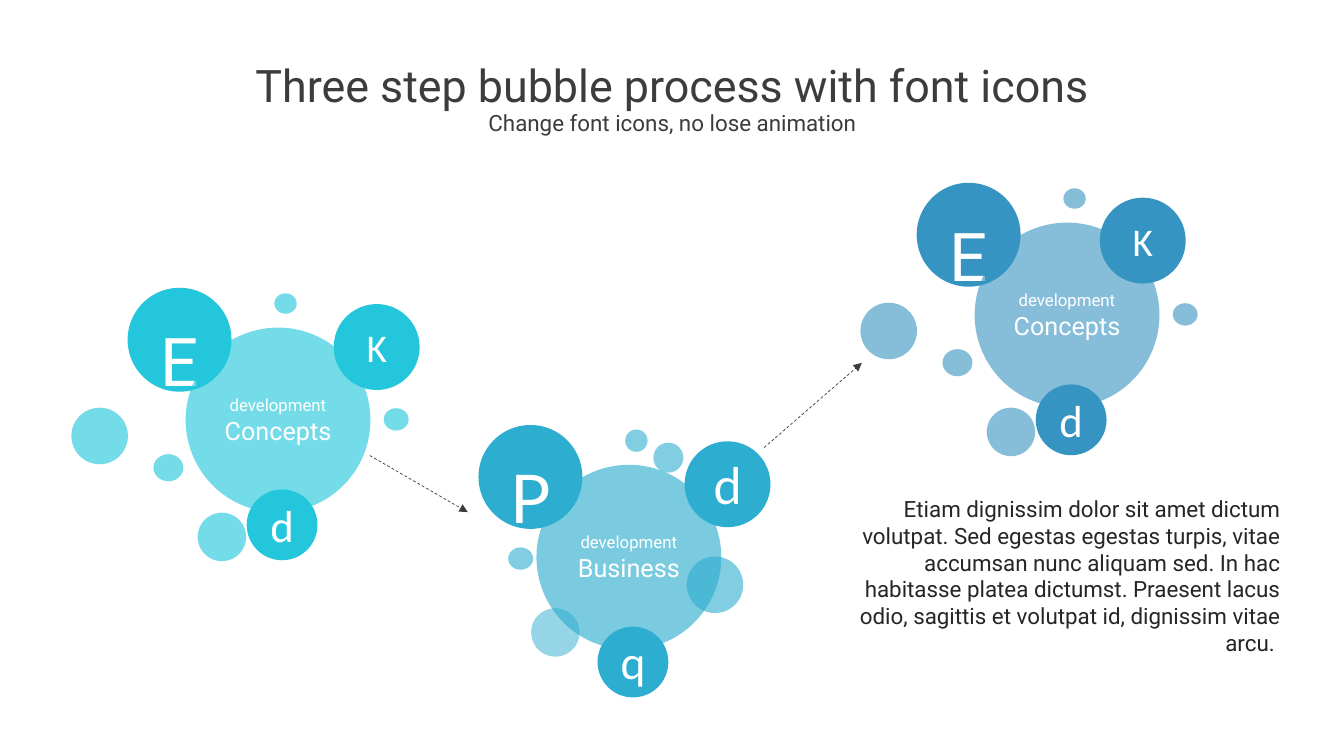
import pptx
import pptx.util
from pptx.dml.color import RGBColor
from pptx.enum.dml import MSO_LINE
from pptx.enum.shapes import MSO_CONNECTOR, MSO_SHAPE
from pptx.enum.text import MSO_ANCHOR, MSO_AUTO_SIZE, PP_ALIGN
from pptx.oxml.ns import qn
from lxml import etree

Pt = pptx.util.Pt

CYAN = RGBColor(0x24, 0xC6, 0xDC)
TEAL = RGBColor(0x2D, 0xAD, 0xCF)
BLUE = RGBColor(0x36, 0x94, 0xC2)
WHITE = RGBColor(0xFF, 0xFF, 0xFF)
DARK = RGBColor(0x3C, 0x3C, 0x3C)
BLACK = RGBColor(0x26, 0x26, 0x26)

TITLE = [("Three step bubble process with font icons", 32),
         ("Change font icons, no lose animation", 16)]
BODY = ("Etiam dignissim dolor sit amet dictum volutpat. Sed egestas egestas turpis, "
        "vitae accumsan nunc aliquam sed. In hac habitasse platea dictumst. Praesent "
        "lacus odio, sagittis et volutpat id, dignissim vitae arcu. ")

# Offsets are measured from the top left of the cluster's main bubble.
MAIN_SIZE = 132
TOP_LEFT = (-41.4, -28.4, 74.2)
TOP_RIGHT = (105.8, -16.8, 61.4)
TOP_RIGHT_NEAR = (89.4, -17.8, 61.4)
BOTTOM = (43.6, 115.6, 50.6)

# Small bubbles: left, top, width, height
LEFT_DRIFT = [(-23, 90.4, 21.4, 19.4), (8.6, 132.2, 34.6, 34.6),
              (-81.6, 57.2, 40.4, 40.4), (63.4, -24.5, 16, 14.6),
              (141.5, 57.6, 17.8, 16)]
RIGHT_DRIFT = [(83.5, -15.8, 21.4, 21.4), (107.3, 65.5, 40.4, 40.4),
               (63.4, -25.2, 16, 16), (-20.2, 59, 17.8, 16)]

# Icons: letter, place, size, font, line spacing
CLUSTERS = [
    dict(origin=(132.6, 234), color=CYAN, word="Concepts", alpha=63,
         behind=[("K", TOP_RIGHT, 28, "Calibri", 1), ("E", TOP_LEFT, 48, "Roboto", 1.5)],
         front=[("d", BOTTOM, 32, "Calibri", 1)],
         drift=LEFT_DRIFT, drift_alpha=63, back_drift=[]),
    dict(origin=(383.2, 332), color=TEAL, word="Business", alpha=63,
         behind=[("d", TOP_RIGHT, 36, "Lato", 1), ("P", TOP_LEFT, 48, "Lato", 1.5)],
         front=[("q", BOTTOM, 32, "Lato", 1)],
         drift=RIGHT_DRIFT, drift_alpha=60, back_drift=[(-3.8, 102.4, 34.6, 34.6)]),
    dict(origin=(696.2, 159), color=BLUE, word="Concepts", alpha=60,
         behind=[("E", TOP_LEFT, 48, "Roboto", 1.5)],
         front=[("d", BOTTOM, 32, "Calibri", 1), ("K", TOP_RIGHT_NEAR, 28, "Calibri", 1)],
         drift=LEFT_DRIFT, drift_alpha=60, back_drift=[]),
]
ARROWS = [(264.2, 325.4, 334.1, 365.8), (545.8, 319.7, 615.6, 259.2)]


def write(tf, lines, color, align, font="Roboto", spacing=None):
    """Fill a text frame with (text, size) lines."""
    tf.word_wrap = True
    tf.text = "\n".join(text for text, size in lines)
    for p, (text, size) in zip(tf.paragraphs, lines):
        p.alignment = align
        p.line_spacing = spacing
        f = p.runs[0].font
        f.name, f.size, f.color.rgb = font, Pt(size), color


def add_bubble(slide, origin, box, color, alpha=100):
    x, y, w, h = box
    sp = slide.shapes.add_shape(MSO_SHAPE.OVAL, Pt(origin[0] + x), Pt(origin[1] + y), Pt(w), Pt(h))
    sp.shadow.inherit = False
    sp.line.fill.background()
    sp.fill.solid()
    sp.fill.fore_color.rgb = color
    if alpha < 100:
        clr = sp._element.spPr.find(".//" + qn("a:srgbClr"))
        etree.SubElement(clr, qn("a:alpha"), val=str(alpha * 1000))
    return sp


def add_icons(slide, cluster, icons):
    for letter, (x, y, d), size, font, spacing in icons:
        sp = add_bubble(slide, cluster["origin"], (x, y, d, d), cluster["color"])
        sp.text_frame.vertical_anchor = MSO_ANCHOR.MIDDLE
        write(sp.text_frame, [(letter, size)], WHITE, PP_ALIGN.CENTER, font, spacing)


def add_cluster(slide, cluster):
    origin, color = cluster["origin"], cluster["color"]
    for box in cluster["back_drift"]:
        add_bubble(slide, origin, box, color, 50)
    add_icons(slide, cluster, cluster["behind"])
    sp = add_bubble(slide, origin, (0, 0, MAIN_SIZE, MAIN_SIZE), color, cluster["alpha"])
    sp.text_frame.vertical_anchor = MSO_ANCHOR.MIDDLE
    write(sp.text_frame, [("development", 12), (cluster["word"], 18)], WHITE, PP_ALIGN.CENTER)
    for box in cluster["drift"]:
        add_bubble(slide, origin, box, color, cluster["drift_alpha"])
    add_icons(slide, cluster, cluster["front"])


def add_arrow(slide, ends):
    cx = slide.shapes.add_connector(MSO_CONNECTOR.STRAIGHT, *[Pt(v) for v in ends])
    cx.line.color.rgb = DARK
    cx.line.width = Pt(0.5)
    cx.line.dash_style = MSO_LINE.DASH
    etree.SubElement(cx.line._get_or_add_ln(), qn("a:tailEnd"), type="triangle")
    etree.SubElement(cx._element.spPr, qn("a:effectLst"))


def main():
    prs = pptx.Presentation()
    prs.slide_width, prs.slide_height = Pt(960), Pt(540)
    slide = prs.slides.add_slide(prs.slide_layouts[5])

    title = slide.shapes.title
    title.left, title.top, title.width, title.height = Pt(175), Pt(41.8), Pt(610.6), Pt(64)
    title.text_frame.auto_size = MSO_AUTO_SIZE.NONE
    title.text_frame.vertical_anchor = MSO_ANCHOR.TOP
    write(title.text_frame, TITLE, DARK, PP_ALIGN.CENTER, spacing=0.9)

    for cluster in CLUSTERS:
        add_cluster(slide, cluster)
    for ends in ARROWS:
        add_arrow(slide, ends)

    body = slide.shapes.add_textbox(Pt(584), Pt(350), Pt(337.6), Pt(124))
    write(body.text_frame, [(BODY, 16)], BLACK, PP_ALIGN.RIGHT)
    prs.save("out.pptx")


if __name__ == "__main__":
    main()
